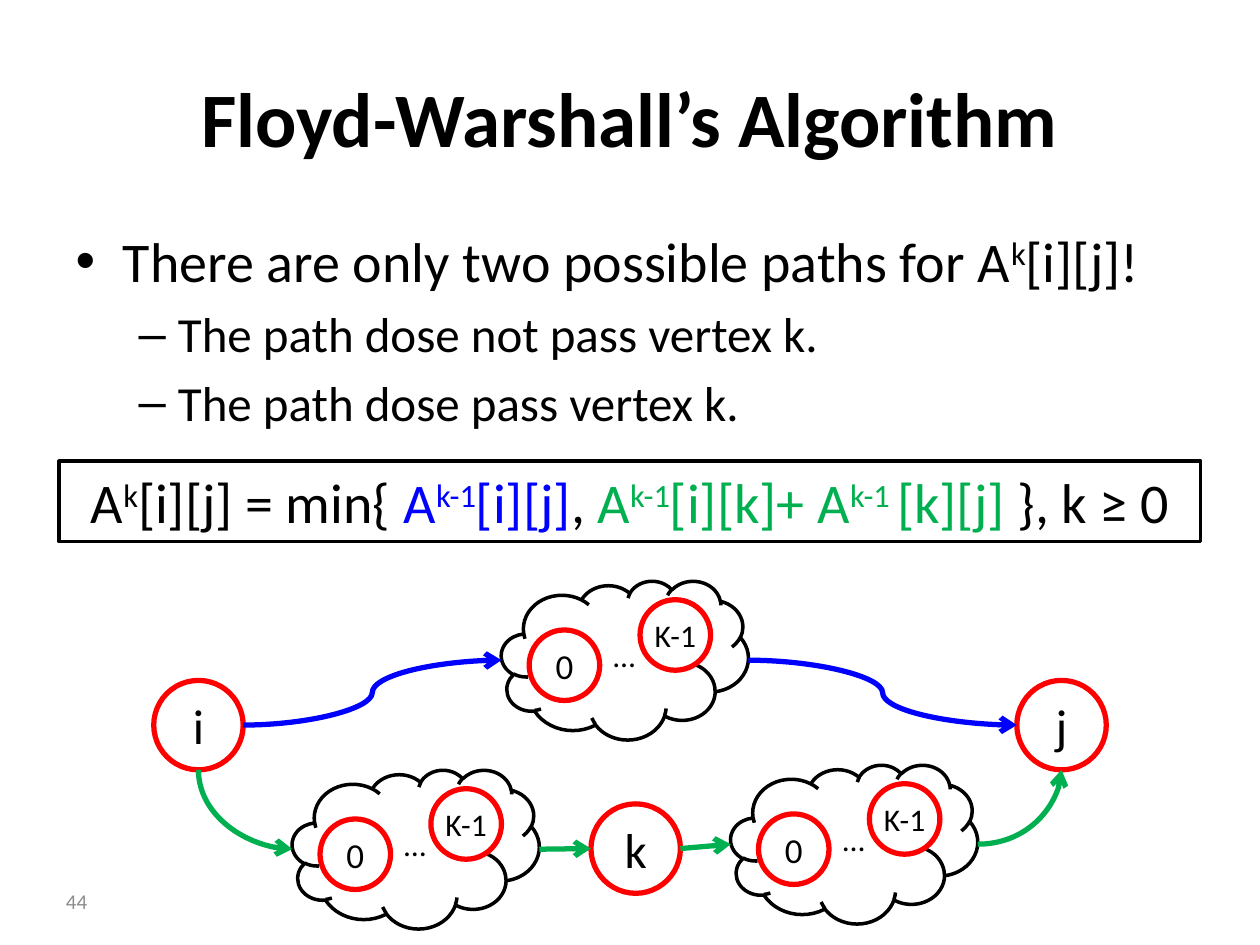
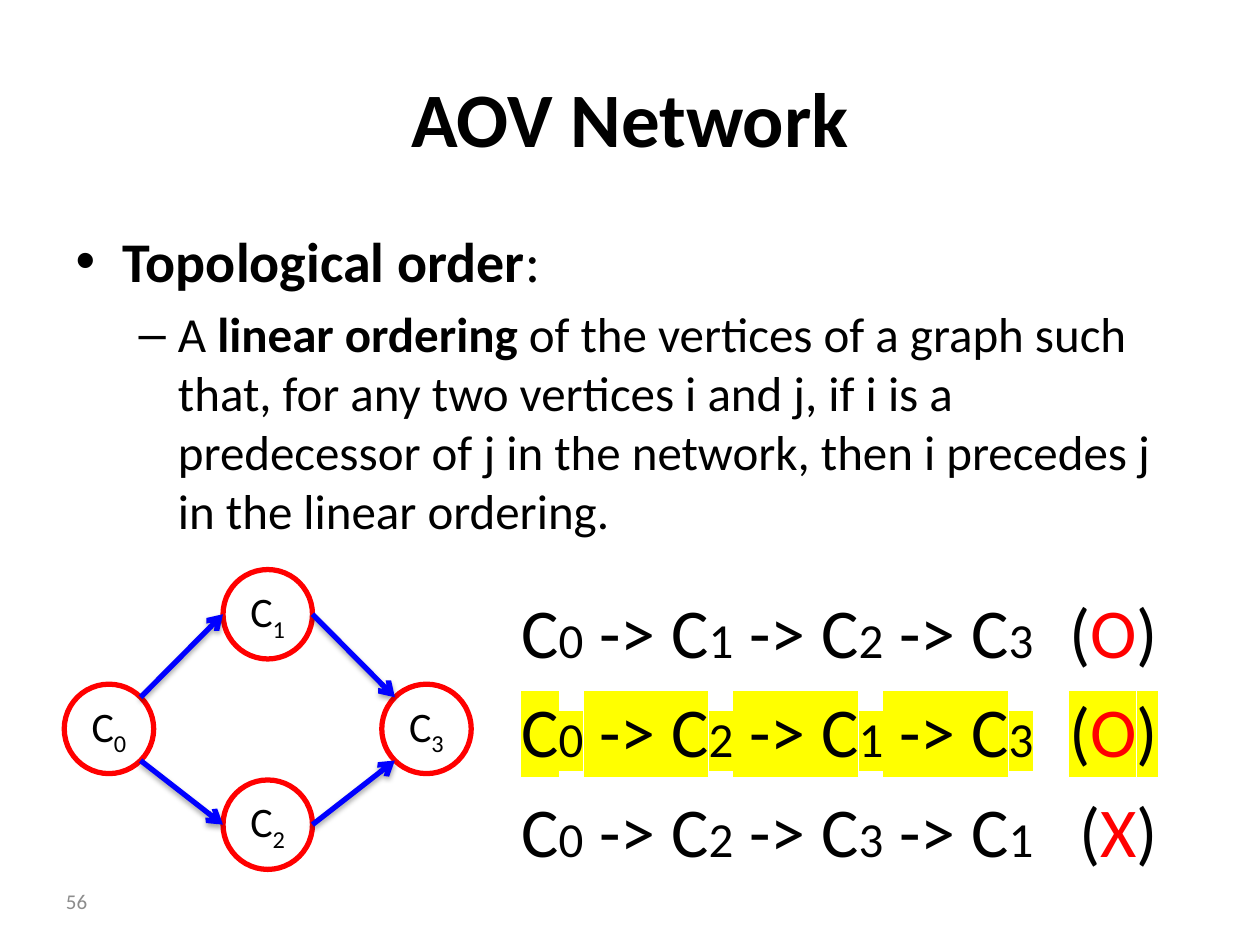
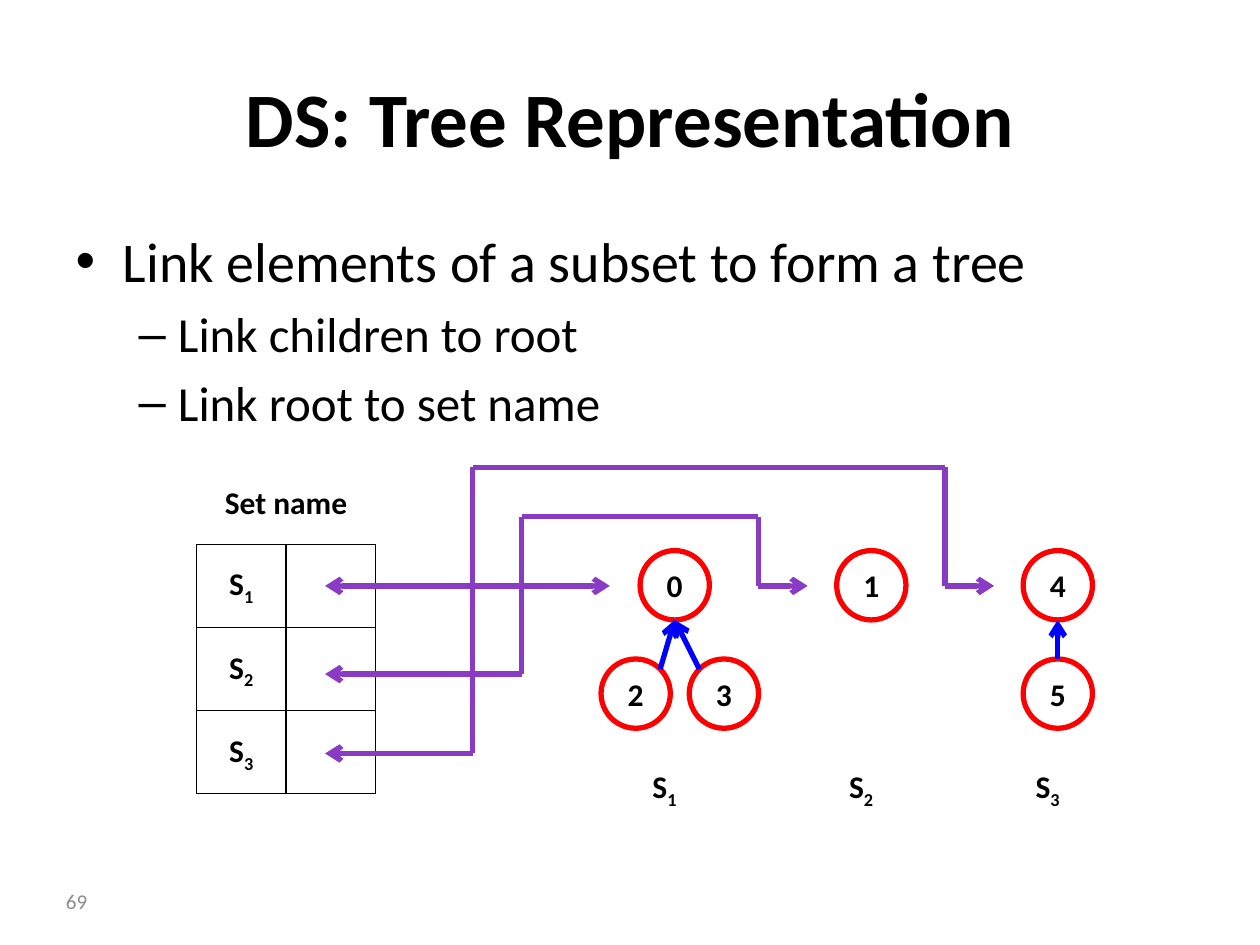
"""Build three lecture slides on graph algorithms and disjoint sets."""
from dataclasses import dataclass
from math import cos, radians, sin

from lxml import etree
from pptx import Presentation
from pptx.dml.color import RGBColor
from pptx.enum.shapes import MSO_CONNECTOR, MSO_SHAPE
from pptx.enum.text import MSO_ANCHOR, PP_ALIGN
from pptx.oxml.ns import qn
from pptx.util import Inches, Pt

OVAL, CLOUD, RECT = MSO_SHAPE.OVAL, MSO_SHAPE.CLOUD, MSO_SHAPE.RECTANGLE
STRAIGHT, CURVE = MSO_CONNECTOR.STRAIGHT, MSO_CONNECTOR.CURVE
LEFT, CENTER, RIGHT = PP_ALIGN.LEFT, PP_ALIGN.CENTER, PP_ALIGN.RIGHT
MIDDLE = MSO_ANCHOR.MIDDLE
EAST, SOUTHEAST, SOUTH, SOUTHWEST, WEST, NORTHWEST, NORTH, NORTHEAST = range(0, 360, 45)


@dataclass(frozen=True)
class Theme:
    """Colours, type sizes and line widths shared by the slides."""
    font: str = "Calibri"
    ink: str = "000000"
    paper: str = "FFFFFF"
    node: str = "FF0000"
    direct: str = "0000FF"
    detour: str = "00B050"
    pointer: str = "893BC3"
    marker: str = "FFFF00"
    footer: str = "8C8C8C"
    title_size: int = 44
    sequence_size: int = 40
    body_sizes: tuple = (32, 28)
    vertex_size: int = 28
    network_size: int = 24
    cloud_size: int = 20
    label_size: int = 18
    footer_size: int = 12
    bold_line: float = 3
    medium_line: float = 2
    thin_line: float = 0.75


THEME = Theme()
SUPER, SUB, BOLD = {"baseline": 30}, {"baseline": -25}, {"bold": True}
BLUE, GREEN = {"color": THEME.direct}, {"color": THEME.detour}

PATHS = {
    "title": "Floyd-Warshall’s Algorithm",
    "number": "44",
    "body": [
        (0, ["There are only two possible paths for A", ("k", SUPER), "[i][j]!"]),
        (1, ["The path dose not pass vertex k."]),
        (1, ["The path dose pass vertex k."]),
    ],
    "formula": [
        "A", ("k", SUPER), "[i][j] = min{ ",
        ("A", BLUE), ("k-1", {**BLUE, **SUPER}), ("[i][j]", BLUE), ", ",
        ("A", GREEN), ("k-1", {**GREEN, **SUPER}), ("[i][k]+ A", GREEN),
        ("k-1 ", {**GREEN, **SUPER}), ("[k][j] ", GREEN), "}, k ≥ 0",
    ],
    "vertices": {"i": (1.22, 5.4), "j": (8.07, 5.4), "k": (4.69, 6.38)},
    "clouds": {"direct": (3.98, 4.61), "before k": (2.32, 6.11), "after k": (5.8, 6.07)},
}
NETWORK = {
    "title": "AOV Network",
    "number": "56",
    "body": [
        (0, [("Topological order", BOLD), ":"]),
        (1, ["A ", ("linear ordering", BOLD),
             " of the vertices of a graph such that, for any two vertices i and j, if i is a "
             "predecessor of j in the network, then i precedes j in the linear ordering."]),
    ],
    "vertices": {0: (0.51, 5.43), 1: (1.77, 4.52), 2: (1.77, 6.19), 3: (3.03, 5.43)},
    "edges": [(0, NORTHEAST, 1, WEST), (0, SOUTHEAST, 2, WEST),
              (1, EAST, 3, NORTHWEST), (2, EAST, 3, SOUTHWEST)],
    "orders": [("0123", "O", False), ("0213", "O", True), ("0231", "X", False)],
}
TREES = {
    "title": "DS: Tree Representation",
    "number": "69",
    "body": [
        (0, ["Link elements of a subset to form a tree"]),
        (1, ["Link children to root"]),
        (1, ["Link root to set name"]),
    ],
    "caption": "Set name",
    "elements": {"0": (5.08, 4.37), "2": (4.77, 5.23), "3": (5.47, 5.23),
                 "1": (6.64, 4.37), "4": (8.12, 4.37), "5": (8.12, 5.23)},
    "set columns": [5.08, 6.64, 8.12],
    "child links": [("3", NORTHWEST, "0"), ("2", NORTHEAST, "0"), ("5", NORTH, "4")],
    "pointers": [
        [(2.58, 4.65), (4.84, 4.65)],
        [(2.58, 5.35), (4.14, 5.35), (4.14, 4.1), (6.02, 4.1), (6.02, 4.65), (6.41, 4.65)],
        [(2.58, 5.98), (3.75, 5.98), (3.75, 3.71), (7.5, 3.71), (7.5, 4.65), (7.89, 4.65)],
    ],
}
VERTEX, CLOUD_VERTEX, ELEMENT = 0.71, 0.56, 0.55
CLOUD_SIZE = (1.96, 1.26)
CELL = (0.71, 0.66)


def rgb(color):
    """Turn a hex string into a colour."""
    return RGBColor.from_string(color)


def style_run(run, size=None, color=None, bold=None, baseline=None, highlight=None):
    """Apply what a run has of its own."""
    if size:
        run.font.size = Pt(size)
    if bold is not None:
        run.font.bold = bold
    if color:
        run.font.color.rgb = rgb(color)
    properties = run._r.get_or_add_rPr()
    if baseline:
        properties.set("baseline", str(baseline * 1000))
    if highlight:
        mark = etree.SubElement(properties, qn("a:highlight"))
        etree.SubElement(mark, qn("a:srgbClr"), val=highlight)


def write(paragraph, runs, size, color=THEME.ink, bold=False, align=None):
    """Fill a paragraph with plain strings and (text, style) pairs."""
    paragraph.alignment = align
    font = paragraph.font
    font.name, font.size, font.bold = THEME.font, Pt(size), bold
    font.color.rgb = rgb(color)
    for part in runs:
        text, style = (part, {}) if isinstance(part, str) else part
        run = paragraph.add_run()
        run.text = text
        style_run(run, **style)


def add_label(canvas, box, runs, size, align=LEFT, wrap=True, **style):
    """Add a text box with one vertically centred paragraph."""
    frame = canvas.add_textbox(*map(Inches, box)).text_frame
    frame.word_wrap = wrap
    frame.vertical_anchor = MIDDLE
    write(frame.paragraphs[0], runs, size, align=align, **style)


def add_outline(canvas, kind, box, color, width, runs=(), size=THEME.label_size,
                bold=False, fill=None):
    """Add an outlined shape with centred text."""
    shape = canvas.add_shape(kind, *map(Inches, box))
    shape.shadow.inherit = False
    if fill:
        shape.fill.solid()
        shape.fill.fore_color.rgb = rgb(fill)
    else:
        shape.fill.background()
    shape.line.color.rgb = rgb(color)
    shape.line.width = Pt(width)
    if runs:
        frame = shape.text_frame
        frame.margin_left = frame.margin_right = 0
        frame.word_wrap = False
        frame.vertical_anchor = MIDDLE
        write(frame.paragraphs[0], runs, size, bold=bold, align=CENTER)


def add_vertex(canvas, corner, diameter, runs, size, bold=False):
    """Add a red circle and return its box."""
    box = (*corner, diameter, diameter)
    add_outline(canvas, OVAL, box, THEME.node, THEME.bold_line, runs, size, bold)
    return box


def rim(box, angle):
    """Return the point of the ellipse in a box at a clockwise angle from east."""
    left, top, width, height = box
    turn = radians(angle)
    return left + width / 2 * (1 + cos(turn)), top + height / 2 * (1 + sin(turn))


def add_link(canvas, start, end, color, heads=("tailEnd",), kind=STRAIGHT,
             preset=None, shadow=False):
    """Join two points by a line with arrowheads."""
    link = canvas.add_connector(kind, *map(Inches, (*start, *end)))
    link.line.color.rgb = rgb(color)
    link.line.width = Pt(THEME.bold_line)
    properties = link._element.spPr
    if preset:
        properties.find(qn("a:prstGeom")).set("prst", preset)
    for head in heads:
        etree.SubElement(properties.find(qn("a:ln")), qn(f"a:{head}"), type="arrow")
    effects = etree.SubElement(properties, qn("a:effectLst"))
    if shadow:
        cast = etree.SubElement(effects, qn("a:outerShdw"), blurRad=str(Pt(3.1)),
                                dist=str(Pt(1.8)), dir="5400000", rotWithShape="0")
        tint = etree.SubElement(cast, qn("a:srgbClr"), val=THEME.ink)
        etree.SubElement(tint, qn("a:alpha"), val="35000")


def add_slide(deck, content):
    """Add a slide with title, bullets and number, and return its shapes."""
    slide = deck.slides.add_slide(deck.slide_layouts.get_by_name("Title and Content"))
    title, body = slide.placeholders
    write(title.text_frame.paragraphs[0], [content["title"]], THEME.title_size,
          bold=True, align=CENTER)
    frame = body.text_frame
    for index, (level, runs) in enumerate(content["body"]):
        paragraph = frame.add_paragraph() if index else frame.paragraphs[0]
        paragraph.level = level
        if not index:
            paragraph.space_before = Pt(0)
        write(paragraph, runs, THEME.body_sizes[level])
    add_label(slide.shapes, (0, 6.95, 0.79, 0.4), [content["number"]],
              THEME.footer_size, RIGHT, color=THEME.footer)
    return slide.shapes


def add_cloud(canvas, corner):
    """Add a cloud of vertices 0 to K-1 and return its box."""
    left, top = corner
    box = (left, top, *CLOUD_SIZE)
    add_outline(canvas, CLOUD, box, THEME.ink, THEME.medium_line)
    add_vertex(canvas, (left + 0.22, top + 0.39), CLOUD_VERTEX, ["0"], THEME.cloud_size)
    add_vertex(canvas, (left + 1.1, top + 0.15), CLOUD_VERTEX, ["K-1"], THEME.label_size)
    add_label(canvas, (left + 0.79, top + 0.39, 0.38, 0.4), ["…"], THEME.label_size, wrap=False)
    return box


def build_paths(deck):
    """Show the two kinds of shortest path."""
    canvas = add_slide(deck, PATHS)
    i, j, k = (add_vertex(canvas, corner, VERTEX, [name], THEME.vertex_size)
               for name, corner in PATHS["vertices"].items())
    direct, before, after = (add_cloud(canvas, corner) for corner in PATHS["clouds"].values())
    for start, end in ((i, direct), (direct, j)):
        add_link(canvas, rim(start, EAST), rim(end, WEST), THEME.direct, kind=CURVE)
    for cloud, side, vertex, head in ((before, WEST, i, "headEnd"), (after, EAST, j, "tailEnd")):
        add_link(canvas, rim(cloud, side), rim(vertex, SOUTH), THEME.detour, (head,),
                 CURVE, "curvedConnector2")
    for start, end in ((before, k), (k, after)):
        add_link(canvas, rim(start, EAST), rim(end, WEST), THEME.detour)
    add_outline(canvas, RECT, (0.47, 3.66, 9.06, 0.64), THEME.ink, THEME.medium_line,
                PATHS["formula"], THEME.body_sizes[0], fill=THEME.paper)


def add_order(canvas, top, order, verdict, chosen):
    """Write one vertex sequence with its verdict at a right tab."""
    frame = canvas.add_textbox(*map(Inches, (4.04, top, 5.33, 0.77))).text_frame
    frame.word_wrap = True
    paragraph = frame.paragraphs[0]
    tabs = etree.SubElement(paragraph._p.get_or_add_pPr(), qn("a:tabLst"))
    etree.SubElement(tabs, qn("a:tab"), pos=str(Inches(5.05)), algn="r")
    shade = {"highlight": THEME.marker} if chosen else {}
    small = {**shade, "size": THEME.vertex_size}
    runs = []
    for position, vertex in enumerate(order):
        runs += [(" -> C" if position else "C", shade), (vertex, small)]
    runs += [("\t", small), ("(", shade), (verdict, {**shade, "color": THEME.node}), (")", shade)]
    write(paragraph, runs, THEME.sequence_size)


def build_network(deck):
    """Show a network and its candidate orders."""
    canvas = add_slide(deck, NETWORK)
    graph = canvas.add_group_shape().shapes
    vertices = {name: add_vertex(graph, corner, VERTEX, ["C", (str(name), SUB)],
                                 THEME.network_size)
                for name, corner in NETWORK["vertices"].items()}
    for source, leave, target, arrive in NETWORK["edges"]:
        add_link(graph, rim(vertices[source], leave), rim(vertices[target], arrive),
                 THEME.direct, shadow=True)
    for row, order in enumerate(NETWORK["orders"]):
        add_order(canvas, 4.62 + 0.79 * row, *order)


def build_trees(deck):
    """Show the set names and the trees they point to."""
    canvas = add_slide(deck, TREES)
    width, height = CELL
    add_label(canvas, (1.56, 3.68, 2 * width, 0.61), [TREES["caption"]],
              THEME.label_size, CENTER, bold=True)
    for row, column in enumerate(TREES["set columns"]):
        name = ["S", (str(row + 1), SUB)]
        for place, runs in enumerate((name, ())):
            box = (1.56 + place * width, 4.32 + row * height, width, height)
            add_outline(canvas, RECT, box, THEME.ink, THEME.thin_line, runs, bold=True)
        add_label(canvas, (column, 5.93, 0.62, height), name, THEME.label_size, bold=True)
    elements = {name: add_vertex(canvas, corner, ELEMENT, [name], THEME.label_size, True)
                for name, corner in TREES["elements"].items()}
    for route in TREES["pointers"]:
        last = len(route) - 2
        for leg, (start, end) in enumerate(zip(route, route[1:])):
            heads = ["headEnd"] * (leg == 0) + ["tailEnd"] * (leg == last)
            add_link(canvas, start, end, THEME.pointer, heads)
    for child, side, root in TREES["child links"]:
        add_link(canvas, rim(elements[child], side), rim(elements[root], SOUTH), THEME.direct)


def main():
    """Build and save the deck."""
    deck = Presentation()
    deck.slide_width, deck.slide_height = Inches(10), Inches(7.5)
    for build in (build_paths, build_network, build_trees):
        build(deck)
    deck.save("out.pptx")


if __name__ == "__main__":
    main()
